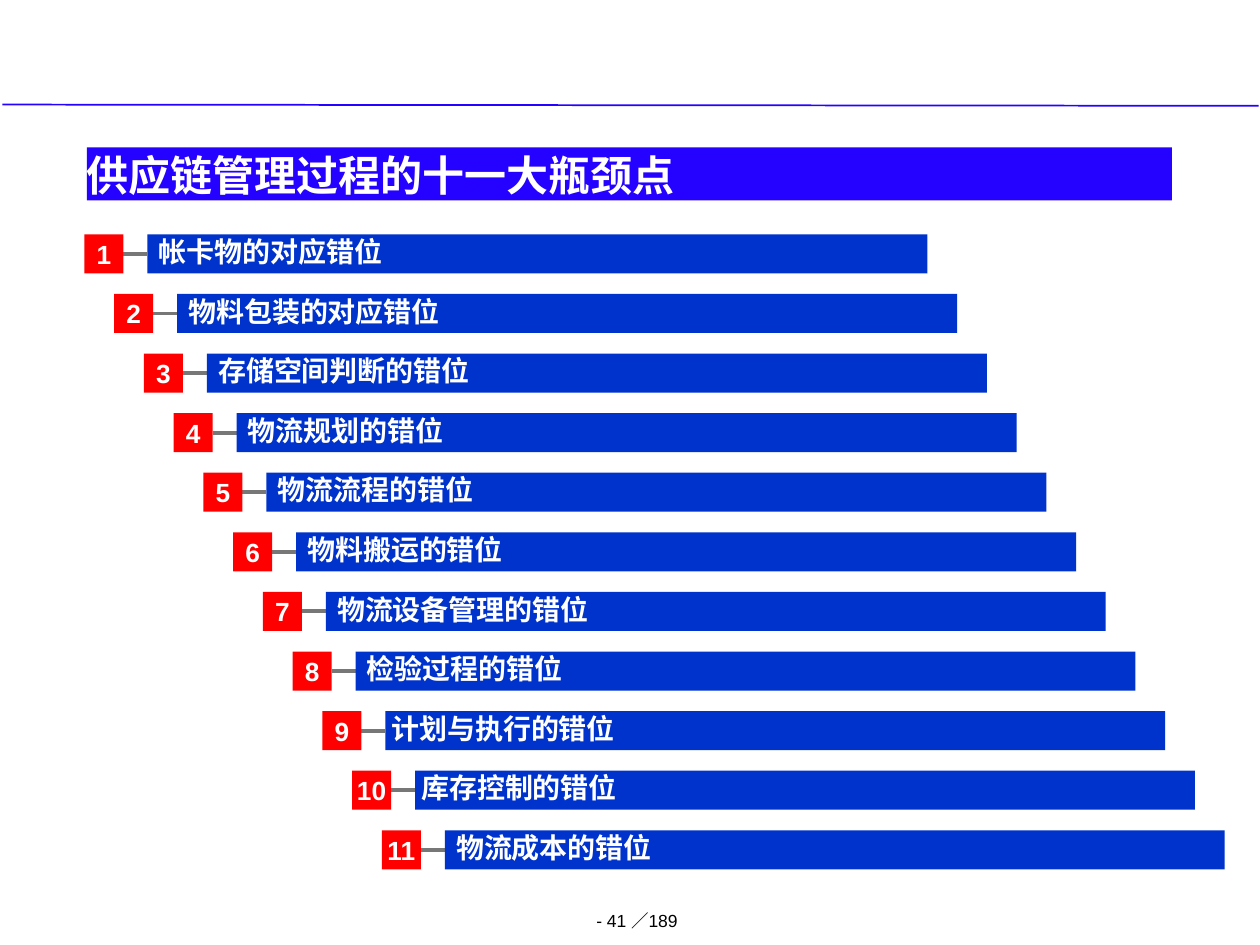
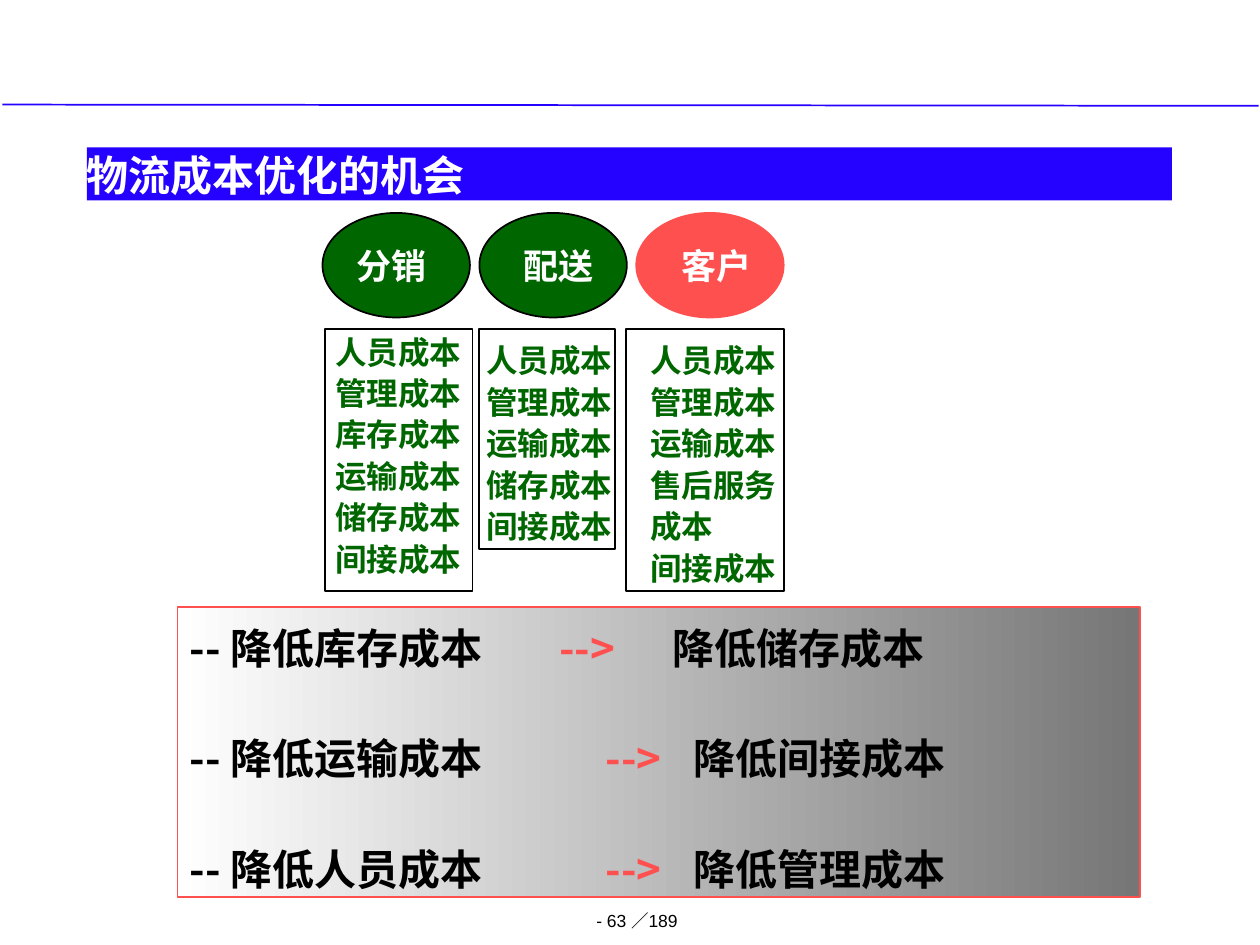
from lxml.etree import SubElement
from pptx import Presentation
from pptx.dml.color import RGBColor
from pptx.enum.shapes import MSO_CONNECTOR, MSO_SHAPE
from pptx.enum.text import MSO_ANCHOR, MSO_AUTO_SIZE, PP_ALIGN
from pptx.oxml.ns import qn
from pptx.util import Inches, Pt

# Shared style
VIOLET, BLUE, RED = "2501FF", "0033CC", "FF0000"
GREEN, CORAL, GREY = "006600", "FF5050", "777777"
WHITE, BLACK = "FFFFFF", "000000"
SANS, SERIF, CHINESE = "Arial", "Times New Roman", "Noto Sans CJK SC"
TOTAL_PAGES = 189

# Content of the bottleneck slide
BOTTLENECK_TITLE = "供应链管理过程的十一大瓶颈点"
BOTTLENECKS = [
    "帐卡物的对应错位", "物料包装的对应错位", "存储空间判断的错位", "物流规划的错位",
    "物流流程的错位", "物料搬运的错位", "物流设备管理的错位", "检验过程的错位",
    "计划与执行的错位", "库存控制的错位", "物流成本的错位",
]
TIGHT_ROWS = (9, 10)

# Content of the cost slide
COST_TITLE = "物流成本优化的机会"
# Stage, fill, outline, label left, list box (left, width, height), list inset (left, top), costs
STAGES = [
    ("分销", GREEN, BLACK, 2.73, (2.58, 1.17, 2.08), (0.08, 0),
     ["人员成本", "管理成本", "库存成本", "运输成本", "储存成本", "间接成本"]),
    ("配送", GREEN, BLACK, 4.06, (3.8, 1.08, 1.75), (0.06, 0.07),
     ["人员成本", "管理成本", "运输成本", "储存成本", "间接成本"]),
    ("客户", CORAL, CORAL, 5.31, (4.97, 1.25, 2.08), (0.19, 0.07),
     ["人员成本", "管理成本", "运输成本", "售后服务", "成本", "间接成本"]),
]
# Action, result, tab stops of the arrow and the result
SAVINGS = [
    ("降低库存成本", "降低储存成本", (2.93, 3.83)),
    ("降低运输成本", "降低间接成本", (3.3, 4)),
    ("降低人员成本", "降低管理成本", (3.3, 4)),
]


def color(hex_string):
    return RGBColor.from_string(hex_string)


def format_run(run, size, font_color, name=SANS, bold=True):
    run.font.name = name
    run.font.size = Pt(size)
    run.font.bold = bold
    run.font.color.rgb = color(font_color)
    SubElement(run._r.get_or_add_rPr(), qn("a:ea")).set("typeface", CHINESE)


def set_frame(shape, left=0, top=0, right=0, bottom=0, anchor=MSO_ANCHOR.TOP):
    frame = shape.text_frame
    frame.word_wrap = True
    frame.auto_size = MSO_AUTO_SIZE.NONE
    frame.vertical_anchor = anchor
    frame.margin_left, frame.margin_top = Inches(left), Inches(top)
    frame.margin_right, frame.margin_bottom = Inches(right), Inches(bottom)
    return frame


def write(frame, lines, size, font_color, name=SANS, bold=True,
          align=PP_ALIGN.LEFT, spacing=None):
    frame.text = "\n".join(lines)
    for paragraph in frame.paragraphs:
        paragraph.alignment = align
        if spacing:
            paragraph.line_spacing = Pt(spacing)
        for run in paragraph.runs:
            format_run(run, size, font_color, name, bold)


def add_box(slide, kind, left, top, width, height, fill=None, line=None):
    shape = slide.shapes.add_shape(
        kind, Inches(left), Inches(top), Inches(width), Inches(height))
    shape.shadow.inherit = False
    if fill:
        shape.fill.solid()
        shape.fill.fore_color.rgb = color(fill)
    else:
        shape.fill.background()
    if line:
        shape.line.color.rgb = color(line)
        shape.line.width = Pt(1)
    else:
        shape.line.fill.background()
    return shape


def add_text_box(slide, left, top, width, height):
    return slide.shapes.add_textbox(
        Inches(left), Inches(top), Inches(width), Inches(height))


def add_line(slide, start, end, line_color, width):
    connector = slide.shapes.add_connector(
        MSO_CONNECTOR.STRAIGHT, *(Inches(value) for value in start + end))
    connector.line.color.rgb = color(line_color)
    connector.line.width = Pt(width)
    SubElement(connector._element.spPr, qn("a:effectLst"))


def add_slide(presentation, title_text, page):
    """Slide with header rule, title band and page number."""
    slide = presentation.slides.add_slide(presentation.slide_layouts[5])
    title = slide.shapes.title
    title.left, title.top = Inches(0.69), Inches(1.17)
    title.width, title.height = Inches(8.61), Inches(0.42)
    title.fill.solid()
    title.fill.fore_color.rgb = color(VIOLET)
    write(set_frame(title), [title_text], 24, WHITE, spacing=30)

    add_line(slide, (0.02, 0.83), (9.99, 0.84), VIOLET, 1)
    footer = set_frame(add_text_box(slide, 4.48, 7.22, 1.15, 0.33))
    write(footer, [f"- {page} ／{TOTAL_PAGES}"], 10, BLACK, bold=False,
          align=PP_ALIGN.CENTER)
    return slide


def build_bottlenecks(presentation):
    slide = add_slide(presentation, BOTTLENECK_TITLE, 41)
    first_left, last_left = 1.17, 3.53
    first_top, last_top = 1.86, 6.59
    side, bar_width, number_offset = 0.31, 6.19, 0.5
    steps = len(BOTTLENECKS) - 1

    # Staircase of numbered bars
    for index, label in enumerate(BOTTLENECKS):
        left = first_left + (last_left - first_left) * index / steps
        top = first_top + (last_top - first_top) * index / steps
        number_left = left - number_offset
        middle = top + side / 2
        add_line(slide, (number_left + side, middle), (left, middle), GREY, 2.25)

        bar = add_box(slide, MSO_SHAPE.RECTANGLE, left, top, bar_width, side, BLUE)
        inset = 0.05 if index + 1 in TIGHT_ROWS else 0.09
        frame = set_frame(bar, left=inset, bottom=0.04, anchor=MSO_ANCHOR.MIDDLE)
        write(frame, [label], 16, WHITE)

        number = add_box(slide, MSO_SHAPE.RECTANGLE, number_left, top, side, side, RED)
        write(set_frame(number, anchor=MSO_ANCHOR.MIDDLE), [str(index + 1)], 15, WHITE,
              align=PP_ALIGN.CENTER)


def add_savings(slide):
    panel = add_box(slide, MSO_SHAPE.RECTANGLE, 1.41, 4.82, 7.64, 2.3, WHITE, CORAL)
    panel.fill.gradient()
    panel.fill.gradient_angle = 0
    for stop, position, stop_color in zip(panel.fill.gradient_stops, (0, 1),
                                          (WHITE, "767676")):
        stop.position = position
        stop.color.rgb = color(stop_color)

    frame = set_frame(panel, left=0.1, top=0.08, right=0.1)
    for index, (action, result, stops) in enumerate(SAVINGS):
        paragraph = frame.paragraphs[0] if index == 0 else frame.add_paragraph()
        tab_list = SubElement(paragraph._p.get_or_add_pPr(), qn("a:tabLst"))
        for stop in stops:
            tab = SubElement(tab_list, qn("a:tab"))
            tab.set("pos", str(Inches(stop)))
            tab.set("algn", "l")
        paragraph.alignment = PP_ALIGN.LEFT
        paragraph.line_spacing = Pt(31.6)
        if index:
            paragraph.space_before = Pt(31.6)
        for text, text_color in ((f"-- {action}\t", BLACK), ("-->\t", CORAL),
                                 (result, BLACK)):
            run = paragraph.add_run()
            run.text = text
            format_run(run, 24, text_color, CHINESE)


def build_costs(presentation):
    slide = add_slide(presentation, COST_TITLE, 63)
    first_oval, oval_step = 2.56, 1.245

    # Stages and their cost lists
    for index, (stage, fill, line, label_left, box, inset, costs) in enumerate(STAGES):
        add_box(slide, MSO_SHAPE.OVAL, first_oval + index * oval_step, 1.69, 1.17, 0.83,
                fill, line)
        label = add_text_box(slide, label_left, 1.87, 0.75, 0.47)
        write(set_frame(label, left=0.1, anchor=MSO_ANCHOR.MIDDLE), [stage], 20, WHITE,
              SERIF)

        left, width, height = box
        cost_box = add_box(slide, MSO_SHAPE.RECTANGLE, left, 2.61, width, height,
                           line=BLACK)
        write(set_frame(cost_box, *inset), costs, 18, GREEN, SERIF, spacing=23.7)

    add_savings(slide)


def main():
    presentation = Presentation()
    presentation.slide_width, presentation.slide_height = Inches(10), Inches(7.5)
    build_bottlenecks(presentation)
    build_costs(presentation)
    presentation.save("out.pptx")


if __name__ == "__main__":
    main()
